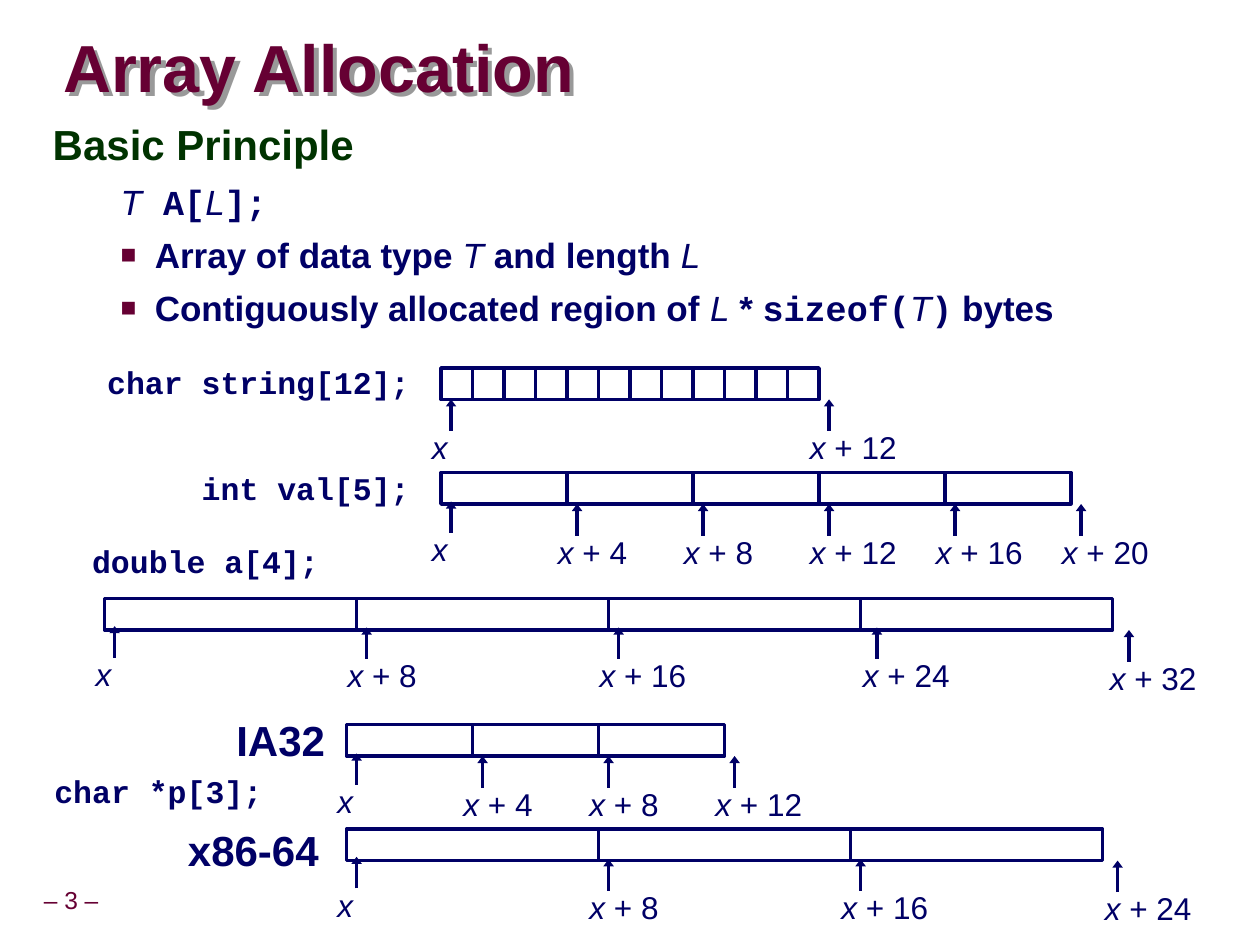
from lxml.etree import SubElement
from pptx import Presentation
from pptx.dml.color import RGBColor
from pptx.enum.shapes import MSO_CONNECTOR as LINK, MSO_SHAPE as SHAPE
from pptx.enum.text import MSO_ANCHOR as ANCHOR, PP_ALIGN as ALIGN
from pptx.oxml.ns import qn
from pptx.util import Inches, Pt

NAVY, WINE, GREEN, WHITE, GREY = "000066", "660033", "003300", "FFFFFF", "999999"
SANS, MONO = "Arial", "Courier New"
BYTE, HIGH = 0.25, 0.25

STYLES = {
    "bold": (SANS, True, False),
    "italic": (SANS, False, True),
    "plain": (SANS, False, False),
    "code": (MONO, True, False),
}
HEAD = [("Basic Principle", "bold")]
DECL = [("T", "italic"), (" A[", "code"), ("L", "italic"), ("];", "code")]
POINTS = [
    [("Array of data type ", "bold"), ("T", "italic"),
     (" and length ", "bold"), ("L", "italic")],
    [("Contiguously allocated region of ", "bold"), ("L", "italic"),
     (" * ", "bold"), ("sizeof(", "code"), ("T", "italic"),
     (")", "code"), (" bytes", "bold")],
]
ARRAYS = [
    dict(left=3.5, top=2.92, size=1, count=12, marks=[0, 12]),
    dict(left=3.5, top=3.75, size=4, count=5, marks=range(0, 21, 4),
         nudge={0: (0, -0.02, 0)}),
    dict(left=0.83, top=4.75, size=8, count=4, marks=range(0, 33, 8),
         nudge={0: (0, -0.03, 0), 8: (0, -0.02, 0), 16: (0, -0.02, 0),
                24: (0.05, -0.02, 0.04), 32: (0.05, 0, 0)}),
    dict(left=2.75, top=5.75, size=4, count=3, marks=range(0, 13, 4),
         nudge={0: (0, -0.02, 0)}),
    dict(left=2.75, top=6.58, size=8, count=3, marks=range(0, 25, 8),
         nudge={0: (0, -0.03, 0), 8: (0, -0.01, 0), 16: (0, -0.01, 0),
                24: (0.04, 0, 0.05)}),
]
CODES = [
    ("char string[12];", 0.75, 2.83, 2.6),
    ("int val[5];", 1.5, 3.67, 1.85),
    ("double a[4];", 0.63, 4.25, 2),
    ("char *p[3];", 0.33, 6.08, 1.85),
]
MODES = [("IA32", 1.63, 5.67, 1), ("x86-64", 1.38, 6.54, 1.2)]


def rgb(code):
    """Turn a hex string into a colour."""
    return RGBColor.from_string(code)


def write(para, runs, size, color=NAVY, align=ALIGN.LEFT, space=1.0):
    """Fill a paragraph with styled runs."""
    para.alignment, para.line_spacing = align, space
    para.font.size = Pt(size)
    para.font.color.rgb = rgb(color)
    shared = [para.font] if len(runs) == 1 else []
    for text, style in runs:
        run = para.add_run()
        run.text = text
        for font in shared or [run.font]:
            font.name, font.bold, font.italic = STYLES[style]


def add_box(slide, left, top, width, height, wrap=True, pad=0.1):
    """Add a text box and return its frame."""
    box = slide.shapes.add_textbox(*map(Inches, (left, top, width, height)))
    frame = box.text_frame
    frame.word_wrap = wrap
    frame.margin_left = frame.margin_right = Inches(pad)
    frame.margin_top = frame.margin_bottom = Inches(0.05)
    return frame


def add_title(slide):
    """Format the title and give it a shadow."""
    title = slide.shapes.title
    title.left, title.top = Inches(0.5), Inches(0.25)
    title.width, title.height = Inches(6.5), Inches(0.63)
    title.fill.background()
    frame = title.text_frame
    frame.vertical_anchor = ANCHOR.MIDDLE
    frame.margin_left = frame.margin_right = 0
    frame.margin_top = frame.margin_bottom = 0
    write(frame.paragraphs[0], [("Array Allocation", "bold")], 38, WINE,
          space=0.87)
    effects = SubElement(title._element.spPr, qn("a:effectLst"))
    shadow = SubElement(effects, qn("a:outerShdw"), blurRad="0",
                        dist=str(Inches(0.05)), dir="2700000")
    SubElement(shadow, qn("a:srgbClr"), val=GREY)


def add_body(slide):
    """Write the heading, the declaration and the bullets."""
    frame = add_box(slide, 0.32, 0.92, 9.09, 1.77)
    write(frame.paragraphs[0], HEAD, 24, GREEN, space=0.95)
    for runs in [DECL] + POINTS:
        para = frame.add_paragraph()
        para.space_before = Pt(6.2)
        para.line_spacing = 1.0
        props = para._p.get_or_add_pPr()
        props.set("marL", str(Inches(0.81)))
        props.set("indent", str(Inches(-0.27)))
        if runs in POINTS:
            color = SubElement(props, qn("a:buClr"))
            SubElement(color, qn("a:srgbClr"), val=WINE)
            SubElement(props, qn("a:buSzPct"), val="75000")
            SubElement(props, qn("a:buFont"), typeface=SANS)
            SubElement(props, qn("a:buChar"), char="■")
        write(para, runs, 20)


def add_cell(slide, left, top, width):
    """Draw one array element."""
    cell = slide.shapes.add_shape(
        SHAPE.RECTANGLE, *map(Inches, (left, top, width, HIGH)))
    cell.shadow.inherit = False
    cell.fill.solid()
    cell.fill.fore_color.rgb = rgb(WHITE)
    cell.line.color.rgb = rgb(NAVY)
    cell.line.width = Pt(2)


def add_mark(slide, x, y, byte, shift):
    """Draw an arrow up to an address and write the address below."""
    arrow = slide.shapes.add_connector(
        LINK.STRAIGHT, *map(Inches, (x, y + 0.25, x, y)))
    arrow.line.color.rgb = rgb(NAVY)
    arrow.line.width = Pt(2)
    SubElement(arrow.line._get_or_add_ln(), qn("a:tailEnd"),
               type="triangle", len="sm")
    SubElement(arrow._element.spPr, qn("a:effectLst"))
    runs = [("x", "italic")]
    if byte:
        runs = [("x ", "italic"), (f"+ {byte}", "plain")]
    frame = add_box(slide, x - 0.25 + shift, y + 0.18, 1.08, 0.4)
    write(frame.paragraphs[0], runs, 18)


def add_array(slide, left, top, size, count, marks, nudge={}):
    """Draw the cells of an array and its address marks."""
    width = size * BYTE
    for i in range(count):
        add_cell(slide, left + i * width, top, width)
    for byte in marks:
        dx, dy, shift = nudge.get(byte, (0, 0, 0))
        x = left + 0.08 + byte * BYTE + dx
        add_mark(slide, x, top + HIGH + dy, byte, shift)


def main():
    """Build the slide and save it."""
    deck = Presentation()
    deck.slide_width, deck.slide_height = Inches(10), Inches(7.5)
    slide = deck.slides.add_slide(deck.slide_layouts[5])
    add_title(slide)
    add_body(slide)
    for array in ARRAYS:
        add_array(slide, **array)
    for text, left, top, width in CODES:
        frame = add_box(slide, left, top, width, 0.4, wrap=False)
        write(frame.paragraphs[0], [(text, "code")], 18, align=ALIGN.RIGHT)
    for text, left, top, width in MODES:
        frame = add_box(slide, left, top, width, 0.46, wrap=False, pad=0.05)
        write(frame.paragraphs[0], [(text, "bold")], 24,
              align=ALIGN.RIGHT, space=0.9)
    frame = add_box(slide, -0.09, 7, 1.31, 0.31, wrap=False, pad=0.05)
    frame.vertical_anchor = ANCHOR.MIDDLE
    write(frame.paragraphs[0], [("– 3 –", "plain")], 14, WINE,
          ALIGN.CENTER, 0.9)
    deck.save("out.pptx")


if __name__ == "__main__":
    main()
